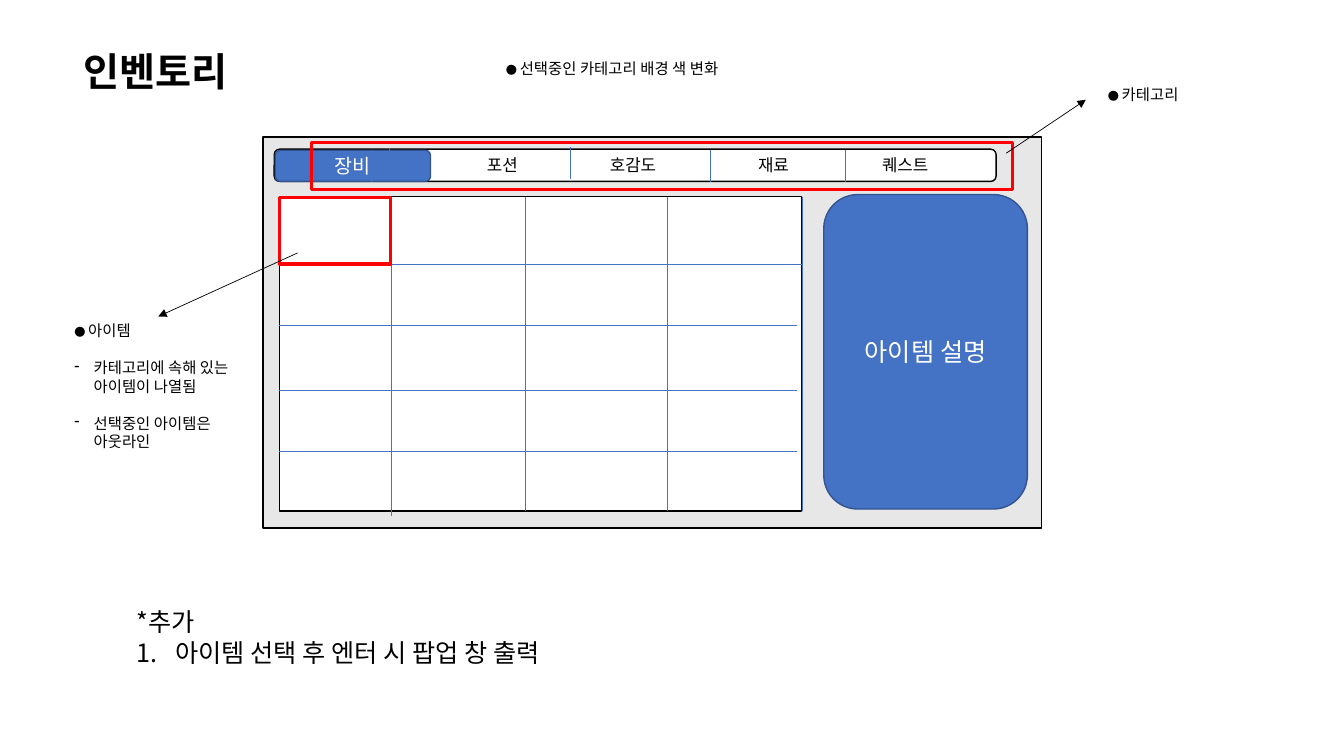
from pptx import Presentation
from pptx.dml.color import RGBColor
from pptx.enum import shapes, text
from pptx.oxml.ns import qn
from pptx.util import Inches, Pt
from lxml import etree

SANS, TITLE_FONT = "Noto Sans CJK KR", "Arial"
COLORS = dict(black="000000", white="FFFFFF", panel="D9D9D9", blue="4472C4",
              edge="325491", red="FF0000")
RECT = shapes.MSO_SHAPE.RECTANGLE
ROUND = shapes.MSO_SHAPE.ROUNDED_RECTANGLE

# Boxes are left, top, width, height in inches
TITLE = ("인벤토리", (0.73, 0.42, 3.26, 0.57))
PANEL = (2.61, 1.36, 7.72, 3.88)
TAB_BAR = (2.72, 1.48, 7.16, 0.32)
ACTIVE_TAB = ("장비", (2.73, 1.49, 1.54, 0.31))
DETAIL = ("아이템 설명", (8.17, 1.93, 2.02, 3.12))
TABS = [("포션", 4.73, 0.65), ("호감도", 5.95, 0.72), ("재료", 7.42, 0.85), ("퀘스트", 8.65, 0.78)]
TAB_TOP, TAB_HEIGHT = 1.49, 0.3
DIVIDERS = [(3.86, 1.47), (3.68, 1.49), (5.66, 1.46), (7.05, 1.49), (8.38, 1.49)]
DIVIDER_HEIGHT = 0.32

GRID = (2.77, 1.95, 5.18, 3.12)
COLUMNS = [(3.88, 2.0), (5.21, 1.95), (6.62, 1.95), (7.96, 1.95)]  # x, top
ROWS = [(2.62, 7.96), (3.23, 7.9), (3.87, 7.9), (4.48, 7.9)]       # y, right end
HIGHLIGHTS = [(2.77, 1.96, 1.1, 0.66), (3.09, 1.41, 6.95, 0.47)]
ARROWS = [(9.98, 1.52, 10.77, 0.99), (2.95, 2.51, 1.57, 3.14)]

DOT = ("● ", 8)
# box, paragraphs: (runs, bullet, indent, space before in points)
NOTES = [
    ((10.89, 0.8, 1.05, 0.29), [([DOT, ("카테고리", 11)], None, 0, 0)]),
    ((0.64, 3.14, 1.86, 1.4), [
        ([DOT, ("아이템", 11)], None, 0, 0),
        ([("카테고리에 속해 있는 아이템이 나열됨", 11)], "-", 0.19, 13.2),
        ([("선택중인 아이템은 아웃라인", 11)], "-", 0.19, 13.2)]),
    ((4.92, 0.54, 2.79, 0.29), [([DOT, ("선택중인 카테고리 배경 색 변화", 11)], None, 0, 0)]),
    ((1.26, 5.97, 4.82, 0.71), [
        ([("*추가", 18)], None, 0, 0),
        ([("아이템 선택 후 엔터 시 팝업 창 출력", 18)], "1.", 0.38, 0)]),
]


def rgb(name):
    return RGBColor.from_string(COLORS[name])


def add_run(p, words, size, color="black", font=SANS, bold=False):
    r = p.add_run()
    r.text = words
    r.font.size, r.font.bold, r.font.name = Pt(size), bold, font
    r.font.color.rgb = rgb(color)
    etree.SubElement(r._r.get_or_add_rPr(), qn("a:ea")).set("typeface", SANS)


def add_box(s, kind, box, fill, line, weight=1):
    sp = s.shapes.add_shape(kind, *map(Inches, box))
    sp.shadow.inherit = False
    if fill:
        sp.fill.solid()
        sp.fill.fore_color.rgb = rgb(fill)
    else:
        sp.fill.background()
    sp.line.color.rgb = rgb(line)
    sp.line.width = Pt(weight)
    return sp


def add_button(s, words, box, size):
    sp = add_box(s, ROUND, box, "blue", "edge")
    sp.text_frame.vertical_anchor = text.MSO_ANCHOR.MIDDLE
    p = sp.text_frame.paragraphs[0]
    p.alignment = text.PP_ALIGN.CENTER
    add_run(p, words, size, "white")


def add_line(s, ends, color="blue", arrow=False):
    c = s.shapes.add_connector(shapes.MSO_CONNECTOR.STRAIGHT, *map(Inches, ends))
    c.line.color.rgb = rgb(color)
    c.line.width = Pt(0.5)
    if arrow:
        etree.SubElement(c.line._get_or_add_ln(), qn("a:tailEnd")).set("type", "triangle")
    etree.SubElement(c._element.spPr, qn("a:effectLst"))


def add_bullet(p, bullet, indent):
    pPr = p._p.get_or_add_pPr()
    pPr.set("marL", str(Inches(indent)))
    pPr.set("indent", str(-Inches(indent)))
    if bullet == "1.":
        etree.SubElement(pPr, qn("a:buAutoNum")).set("type", "arabicPeriod")
    else:
        etree.SubElement(pPr, qn("a:buChar")).set("char", bullet)


def add_note(s, box, paragraphs):
    tf = s.shapes.add_textbox(*map(Inches, box)).text_frame
    tf.word_wrap = True
    tf.auto_size = text.MSO_AUTO_SIZE.SHAPE_TO_FIT_TEXT
    for i, (runs, bullet, indent, before) in enumerate(paragraphs):
        p = tf.add_paragraph() if i else tf.paragraphs[0]
        if bullet:
            add_bullet(p, bullet, indent)
        p.line_spacing = Pt(1.2 * runs[-1][1])
        if before:
            p.space_before = Pt(before)
        for words, size in runs:
            add_run(p, words, size)


def add_title(s, words, box):
    sp = s.shapes.title
    sp.left, sp.top, sp.width, sp.height = map(Inches, box)
    tf = sp.text_frame
    tf.auto_size = text.MSO_AUTO_SIZE.NONE
    tf.vertical_anchor = text.MSO_ANCHOR.MIDDLE
    p = tf.paragraphs[0]
    p.alignment = text.PP_ALIGN.LEFT
    p.line_spacing = Pt(33.6)
    add_run(p, words, 28, font=TITLE_FONT, bold=True)


def main():
    prs = Presentation()
    prs.slide_width, prs.slide_height = Inches(13.33), Inches(7.5)
    s = prs.slides.add_slide(prs.slide_layouts[5])
    add_title(s, *TITLE)

    panel = add_box(s, RECT, PANEL, "panel", "black")
    shade = panel._element.spPr.find(qn("a:solidFill"))[0]
    etree.SubElement(shade, qn("a:alpha")).set("val", "61000")

    add_box(s, ROUND, TAB_BAR, "white", "black")
    for words, left, width in TABS:
        add_note(s, (left, TAB_TOP, width, TAB_HEIGHT), [([(words, 12)], None, 0, 0)])
    add_button(s, *ACTIVE_TAB, 14)
    for x, top in DIVIDERS:
        add_line(s, (x, top, x, top + DIVIDER_HEIGHT))

    add_box(s, RECT, GRID, "white", "black")
    for x, top in COLUMNS:
        add_line(s, (x, top, x, top + GRID[3]))
    for y, right in ROWS:
        add_line(s, (GRID[0], y, right, y))
    add_button(s, *DETAIL, 18)

    for box in HIGHLIGHTS:
        add_box(s, RECT, box, None, "red", 2.25)
    for ends in ARROWS:
        add_line(s, ends, "black", arrow=True)
    for box, paragraphs in NOTES:
        add_note(s, box, paragraphs)
    prs.save("out.pptx")


if __name__ == "__main__":
    main()
